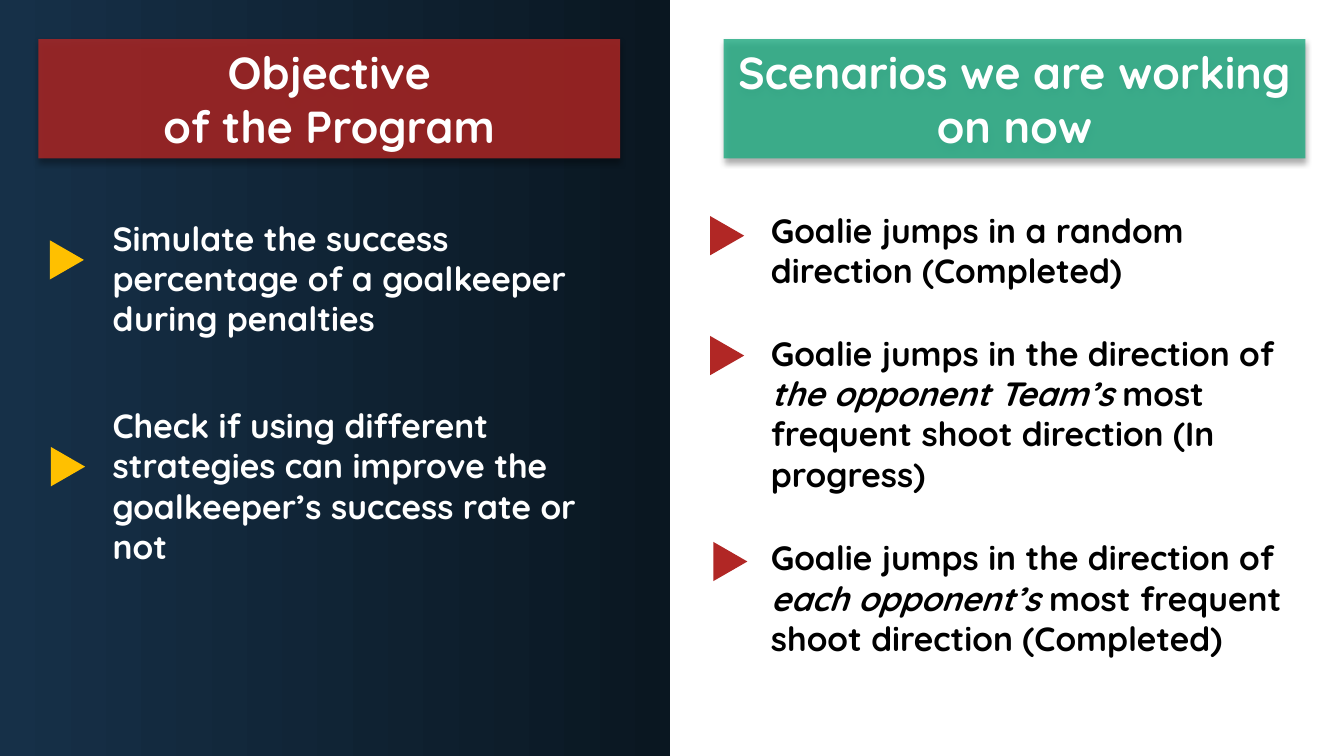
import pptx
import pptx.util
import pptx.dml.color
import pptx.enum.shapes
import pptx.enum.text
import pptx.oxml
import pptx.oxml.ns

Cm = pptx.util.Cm
COLORS = {
    "navy": "163048", "night": "0A1721", "red": "B12725", "green": "21AB82",
    "amber": "FFC000", "white": "FFFFFF", "black": "000000",
}
SHAPES = pptx.enum.shapes.MSO_SHAPE
NS = pptx.oxml.ns.nsdecls("a")


def rgb(name):
    return pptx.dml.color.RGBColor.from_string(COLORS[name])


class SlideBuilder:
    """Holds the text style and the slide being filled."""

    font = "Quicksand"
    heading_size = pptx.util.Pt(32)
    body_size = pptx.util.Pt(24)

    def __init__(self, slide):
        self.slide = slide

    def preset(self, kind, left, top, width, height):
        shape = self.slide.shapes.add_shape(
            kind, Cm(left), Cm(top), Cm(width), Cm(height))
        shape.shadow.inherit = False
        shape.line.fill.background()
        return shape

    def format_run(self, run, size, color):
        run.font.name = self.font
        run.font.size = size
        run.font.bold = True
        run.font.color.rgb = rgb(color)

    def panel(self, width, height, start, end):
        panel = self.preset(SHAPES.RECTANGLE, 0, 0, width, height)
        panel.fill.gradient()
        panel.fill.gradient_angle = 0
        for stop, color in zip(panel.fill.gradient_stops, (start, end)):
            stop.color.rgb = rgb(color)
        # Keep the panel behind the title placeholder
        self.slide.shapes._spTree.insert(2, panel._element)

    def heading(self, banner, left, text, color):
        banner.left, banner.top = Cm(left), Cm(0.99)
        banner.width, banner.height = Cm(14.66), Cm(3)
        banner.fill.solid()
        banner.fill.fore_color.rgb = rgb(color)
        banner.line.fill.background()
        banner.shadow.inherit = False
        properties = banner._element.spPr
        tint = properties.find(pptx.oxml.ns.qn("a:solidFill"))[0]
        tint.append(pptx.oxml.parse_xml(f'<a:alpha {NS} val="81000"/>'))
        effects = properties.find(pptx.oxml.ns.qn("a:effectLst"))
        effects.append(pptx.oxml.parse_xml(
            f'<a:outerShdw {NS} blurRad="50800" dist="38100" dir="5400000"'
            ' algn="t" rotWithShape="0"><a:srgbClr val="000000">'
            '<a:alpha val="40000"/></a:srgbClr></a:outerShdw>'))

        frame = banner.text_frame
        frame.text = text
        frame.word_wrap = True
        frame.auto_size = pptx.enum.text.MSO_AUTO_SIZE.SHAPE_TO_FIT_TEXT
        frame.vertical_anchor = pptx.enum.text.MSO_ANCHOR.MIDDLE
        for paragraph in frame.paragraphs:
            paragraph.alignment = pptx.enum.text.PP_ALIGN.CENTER
            for run in paragraph.runs:
                self.format_run(run, self.heading_size, "white")

    def point(self, box, parts, color):
        """Parts alternate between upright and italic."""
        point = self.slide.shapes.add_textbox(*map(Cm, box))
        frame = point.text_frame
        frame.word_wrap = True
        frame.auto_size = pptx.enum.text.MSO_AUTO_SIZE.SHAPE_TO_FIT_TEXT
        for index, part in enumerate(parts):
            run = frame.paragraphs[0].add_run()
            run.text = part
            self.format_run(run, self.body_size, color)
            run.font.italic = index % 2 == 1

    def marker(self, left, top, color):
        marker = self.preset(SHAPES.ISOSCELES_TRIANGLE, left, top, 0.99, 0.86)
        marker.rotation = 90
        marker.fill.solid()
        marker.fill.fore_color.rgb = rgb(color)


# Each point: text box, marker position, text parts
OBJECTIVES = [
    ((2.59, 5.36, 12.5, 3.33), (1.19, 6.12),
     ["Simulate the success percentage of a goalkeeper during penalties"]),
    ((2.59, 10.08, 12.5, 4.37), (1.22, 11.33),
     ["Check if using different strategies can improve the goalkeeper’s "
      "success rate or not"]),
]
SCENARIOS = [
    ((19.18, 5.16, 12.78, 2.31), (17.83, 5.51),
     ["Goalie jumps in a random direction (Completed)"]),
    ((19.18, 8.26, 14.33, 4.37), (17.83, 8.53),
     ["Goalie jumps in the direction of ", "the opponent Team’s ",
      "most frequent shoot direction (In progress)"]),
    ((19.18, 13.41, 13.44, 3.33), (17.91, 13.72),
     ["Goalie jumps in the direction of ", "each opponent’s ",
      "most frequent shoot direction (Completed)"]),
]


def main():
    deck = pptx.Presentation()
    deck.slide_width, deck.slide_height = Cm(33.87), Cm(19.05)
    slide = deck.slides.add_slide(deck.slide_layouts.get_by_name("Title Only"))
    builder = SlideBuilder(slide)

    # Dark left half
    builder.panel(16.89, 19.05, "navy", "night")

    # Headings
    builder.heading(slide.shapes.title, 0.97,
                    "Objective\nof the Program", "red")
    scenarios_banner = builder.preset(SHAPES.RECTANGLE, 18.24, 0.99, 14.66, 3)
    builder.heading(scenarios_banner, 18.24,
                    "Scenarios we are working on now", "green")

    # Points with their markers
    for points, text_color, marker_color in (
            (OBJECTIVES, "white", "amber"), (SCENARIOS, "black", "red")):
        for box, position, parts in points:
            builder.point(box, parts, text_color)
            builder.marker(*position, marker_color)

    deck.save("out.pptx")


if __name__ == "__main__":
    main()
